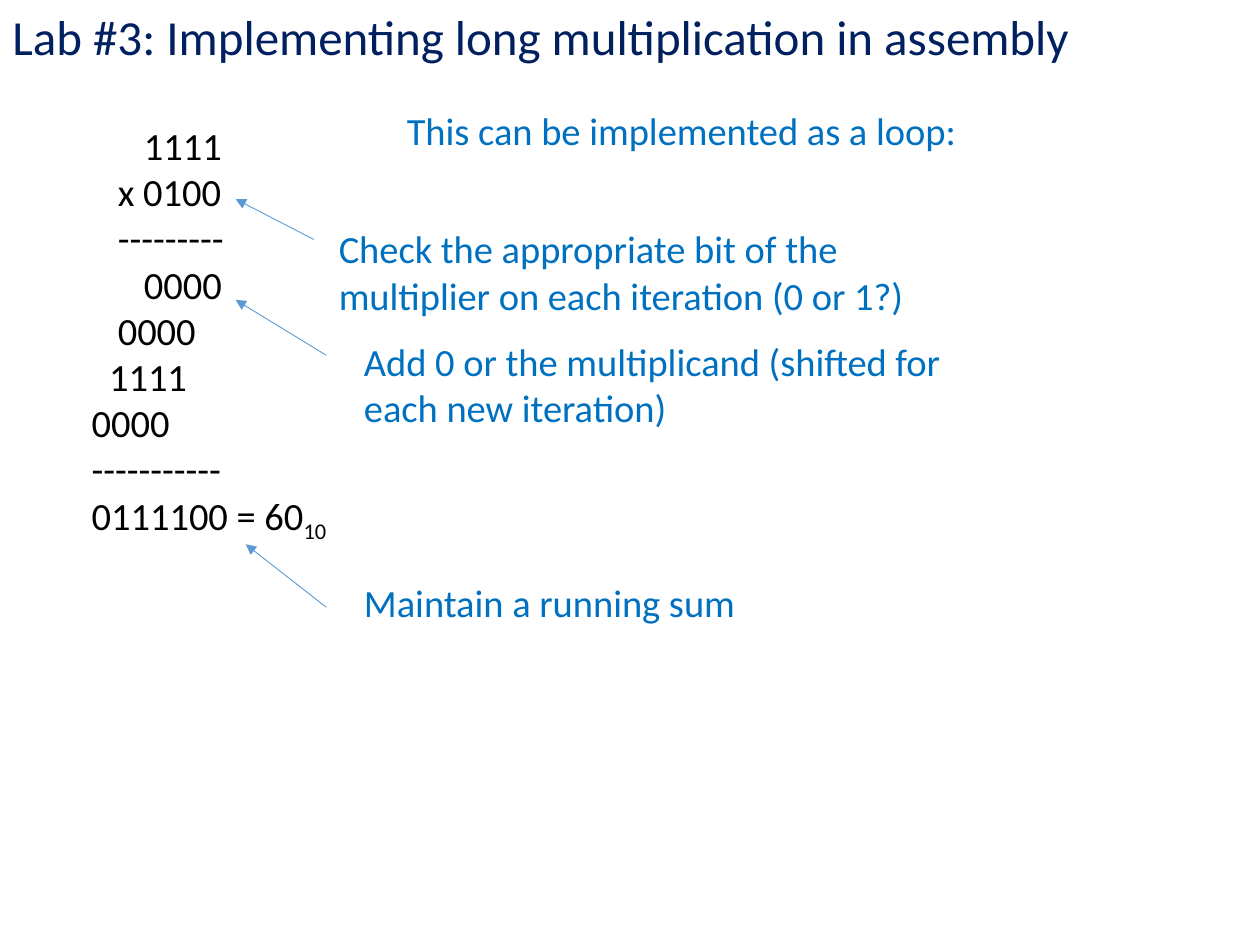
"""Build the Lab #3 slide on long multiplication in assembly."""
from dataclasses import dataclass

from lxml import etree
from pptx import Presentation, util as u
from pptx.dml.color import RGBColor
from pptx.enum import shapes, text
from pptx.oxml.ns import qn


@dataclass(frozen=True)
class Theme:
    font: str = "Calibri"
    title_size: float = 28
    body_size: float = 22
    title: str = "002060"
    body: str = "000000"
    note: str = "0070C0"
    arrow: str = "5B9BD5"
    arrow_width: float = 0.5


THEME = Theme()
COLS, ROWS = 100, 75
DIGIT_STEP = 0.69
NOTE_W, ONE_LINE, TWO_LINES = 51.8, 4.7, 8.4

TITLE = "Lab #3: Implementing long multiplication in assembly"
LOOP = "This can be implemented as a loop:"
WORKING = [
    (6, "1111"),
    (3, "x 0100"),
    (3, "---------"),
    (6, "0000"),
    (3, "0000"),
    (2, "1111"),
    (0, "0000"),
    (0, "-----------"),
    (0, "0111100 = 60"),
]
BASE = "10"
STEPS = [
    ("Check the appropriate bit of the multiplier on each iteration (0 or 1?)",
     (25.9, 17.4), TWO_LINES, (24.9, 19), (18.7, 15.8)),
    ("Maintain a running sum",
     (27.9, 45.5), ONE_LINE, (25.9, 48.2), (19.5, 43.2)),
    ("Add 0 or the multiplicand (shifted for each new iteration)",
     (27.9, 26.3), TWO_LINES, (25.9, 28.2), (18.7, 23.8)),
]

prs = Presentation()
prs.slide_width, prs.slide_height = u.Inches(10), u.Inches(7.5)


def x(cols):
    return round(prs.slide_width * cols / COLS)


def y(rows):
    return round(prs.slide_height * rows / ROWS)


def add_box(parent, left, top, width, height):
    tf = parent.add_textbox(x(left), y(top), x(width), y(height)).text_frame
    tf.word_wrap = True
    tf.auto_size = text.MSO_AUTO_SIZE.SHAPE_TO_FIT_TEXT
    return tf


def add_run(p, words, color, size=THEME.body_size):
    r = p.add_run()
    r.text = words
    r.font.name = THEME.font
    r.font.size = u.Pt(size)
    r.font.color.rgb = RGBColor.from_string(color)
    return r


def add_arrow(parent, start, end):
    s = parent.add_connector(shapes.MSO_CONNECTOR.STRAIGHT,
                             x(start[0]), y(start[1]), x(end[0]), y(end[1]))
    s.line.color.rgb = RGBColor.from_string(THEME.arrow)
    s.line.width = u.Pt(THEME.arrow_width)
    etree.SubElement(s.line._get_or_add_ln(), qn("a:tailEnd"), type="triangle")
    etree.SubElement(s._element.spPr, qn("a:effectLst"))


def add_working(parent):
    tf = add_box(parent, 6.3, 9.2, 34.3, 34.3)
    for i, (indent, digits) in enumerate(WORKING):
        p = tf.add_paragraph() if i else tf.paragraphs[0]
        pr = p._p.get_or_add_pPr()
        pr.set("marL", str(x(indent * DIGIT_STEP)))
        pr.set("indent", "0")
        add_run(p, digits, THEME.body)
    r = add_run(p, BASE, THEME.body)
    r.font._element.set("baseline", "-25000")


def main():
    slide = prs.slides.add_slide(prs.slide_layouts[6])
    tf = add_box(slide.shapes, 0, 0, 89, 5.7)
    add_run(tf.paragraphs[0], TITLE, THEME.title, THEME.title_size)
    add_working(slide.shapes)
    tf = add_box(slide.shapes, 31.3, 8, NOTE_W, ONE_LINE)
    add_run(tf.paragraphs[0], LOOP, THEME.note)
    for words, (left, top), height, start, end in STEPS:
        group = slide.shapes.add_group_shape().shapes
        add_arrow(group, start, end)
        tf = add_box(group, left, top, NOTE_W, height)
        add_run(tf.paragraphs[0], words, THEME.note)
    prs.save("out.pptx")


if __name__ == "__main__":
    main()
